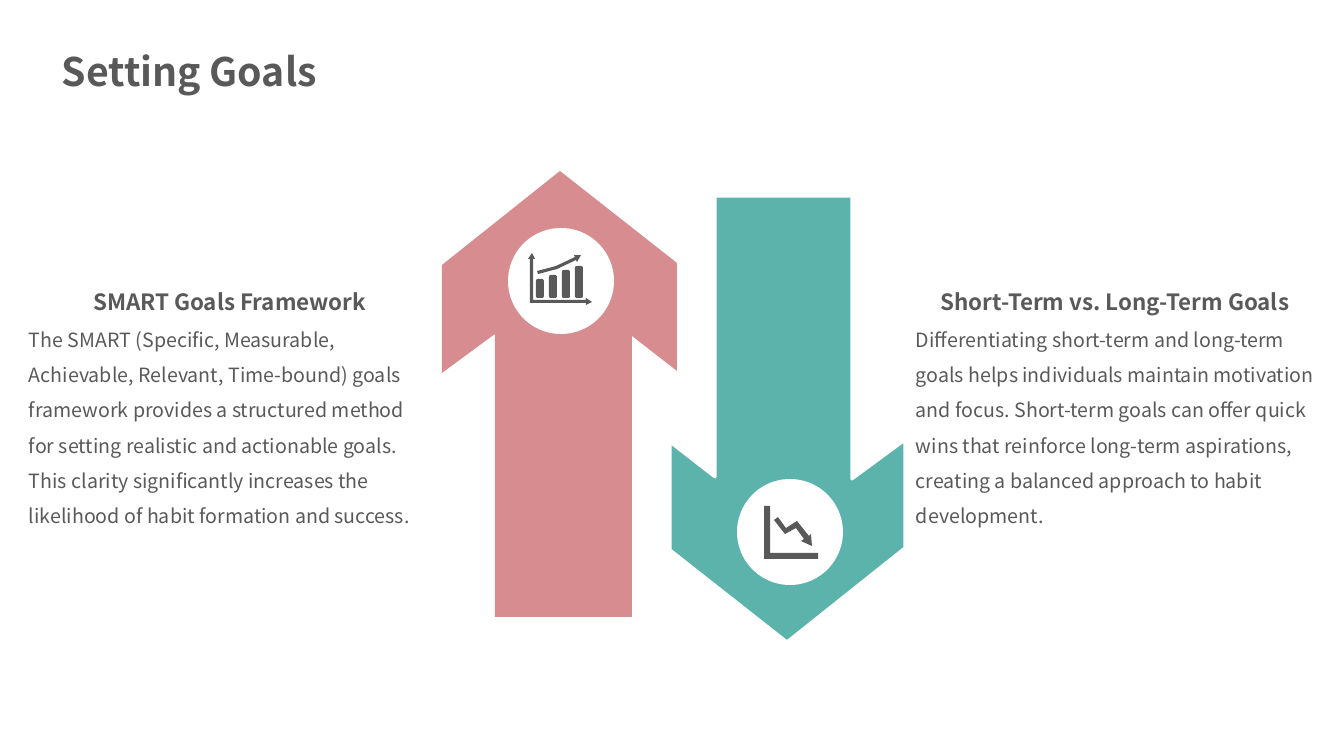
from pptx import Presentation
from pptx import util as u
from pptx.dml.color import RGBColor
from pptx.enum import shapes, text

SCALE = 914400 / 100.8
FONT = "Noto Sans CJK SC"
COLORS = {"ink": "595959", "up": "D78D8F", "down": "5CB3AB", "white": "FFFFFF"}

UP_ARROW = [(677, 263), (560, 171), (442, 265), (442, 373), (495, 334),
            (495, 617), (632, 617), (632, 336), (677, 371)]
DOWN_ARROW = [(1347 - x, 813 - y) for x, y in UP_ARROW]
GROWTH_LINE = [(538, 274), (557, 269), (576, 260), (577, 262), (581, 255),
               (574, 255), (575, 257), (556, 266), (537, 271)]
GROWTH_AXES = [(592, 302), (586, 298), (586, 300), (533, 300), (533, 259), (535, 259),
               (532, 253), (528, 259), (530, 259), (530, 303), (586, 303), (586, 305)]
DECLINE_LINE = [(778, 517), (786, 528), (797, 521), (809, 536), (811, 534), (812, 546),
                (801, 541), (804, 539), (796, 528), (785, 534), (774, 520)]
DECLINE_AXES = [(764, 506), (770, 506), (770, 553), (818, 553), (818, 559), (764, 559)]
BAR_TOPS = [279, 275, 270, 266]
BAR_BOTTOM = 298

TOPICS = [
    (19, 421, "SMART Goals Framework",
     "The SMART (Specific, Measurable, Achievable, Relevant, Time-bound) goals framework "
     "provides a structured method for setting realistic and actionable goals. This clarity "
     "significantly increases the likelihood of habit formation and success."),
    (906, 418, "Short-Term vs. Long-Term Goals",
     "Differentiating short-term and long-term goals helps individuals maintain motivation "
     "and focus. Short-term goals can offer quick wins that reinforce long-term aspirations, "
     "creating a balanced approach to habit development."),
]


def px(n):
    """Turn pixels into EMU."""
    return u.Emu(round(n * SCALE))


def rgb(name):
    """Look up a named colour."""
    return RGBColor.from_string(COLORS[name])


def paint(sp, color):
    """Give a shape a flat fill with no line or shadow."""
    sp.shadow.inherit = False
    sp.fill.solid()
    sp.fill.fore_color.rgb = rgb(color)
    sp.line.fill.background()
    return sp


def add_preset(slide, kind, box, color):
    """Add a filled preset shape."""
    return paint(slide.shapes.add_shape(kind, *map(px, box)), color)


def add_outline(slide, points, color):
    """Add a filled closed polygon."""
    builder = slide.shapes.build_freeform(*points[0], scale=SCALE)
    builder.add_line_segments(points[1:], close=True)
    return paint(builder.convert_to_shape(), color)


def add_text(slide, box, words, size, bold=False, align=None, spacing=None,
             before=None, anchor=text.MSO_ANCHOR.TOP):
    """Add a one-paragraph wrapped text box."""
    tf = slide.shapes.add_textbox(*map(px, box)).text_frame
    tf.word_wrap = True
    tf.auto_size = text.MSO_AUTO_SIZE.SHAPE_TO_FIT_TEXT
    tf.vertical_anchor = anchor
    p = tf.paragraphs[0]
    p.text = words
    p.alignment = align
    p.line_spacing = spacing
    p.space_before = before
    font = p.runs[0].font
    font.name, font.size, font.bold = FONT, u.Pt(size), bold
    font.color.rgb = rgb("ink")


def add_badge(slide, left, top):
    """Add a white disc behind an icon."""
    add_preset(slide, shapes.MSO_SHAPE.OVAL, (left, top, 106, 106), "white")


def add_growth_icon(slide):
    """Add the rising bar chart icon."""
    for i, top in enumerate(BAR_TOPS):
        bar = add_preset(slide, shapes.MSO_SHAPE.ROUNDED_RECTANGLE,
                         (536 + 13 * i, top, 8, BAR_BOTTOM - top), "ink")
        bar.adjustments[0] = 0.25
    for points in (GROWTH_LINE, GROWTH_AXES):
        add_outline(slide, points, "ink")


def add_decline_icon(slide):
    """Add the falling line chart icon."""
    for points in (DECLINE_LINE, DECLINE_AXES):
        add_outline(slide, points, "ink")


def add_topic(slide, left, width, heading, body):
    """Add a description with its centred heading above."""
    add_text(slide, (left, 311, width, 154), body, 14, spacing=1.5, before=u.Pt(3))
    add_text(slide, (left, 280, width, 40), heading, 16, bold=True,
             align=text.PP_ALIGN.CENTER, spacing=1.2, before=u.Pt(3),
             anchor=text.MSO_ANCHOR.BOTTOM)


def main():
    """Build and save the slide."""
    prs = Presentation()
    prs.slide_width, prs.slide_height = px(1344), px(756)
    slide = prs.slides.add_slide(prs.slide_layouts[6])
    add_text(slide, (52, 42, 953, 57), "Setting Goals", 28, bold=True)
    add_outline(slide, UP_ARROW, "up")
    add_badge(slide, 508, 228)
    down = add_outline(slide, DOWN_ARROW, "down")
    down.line.color.rgb = rgb("white")
    down.line.width = u.Pt(2.25)
    add_badge(slide, 737, 479)
    add_growth_icon(slide)
    add_decline_icon(slide)
    for topic in TOPICS:
        add_topic(slide, *topic)
    prs.save("out.pptx")


if __name__ == "__main__":
    main()
